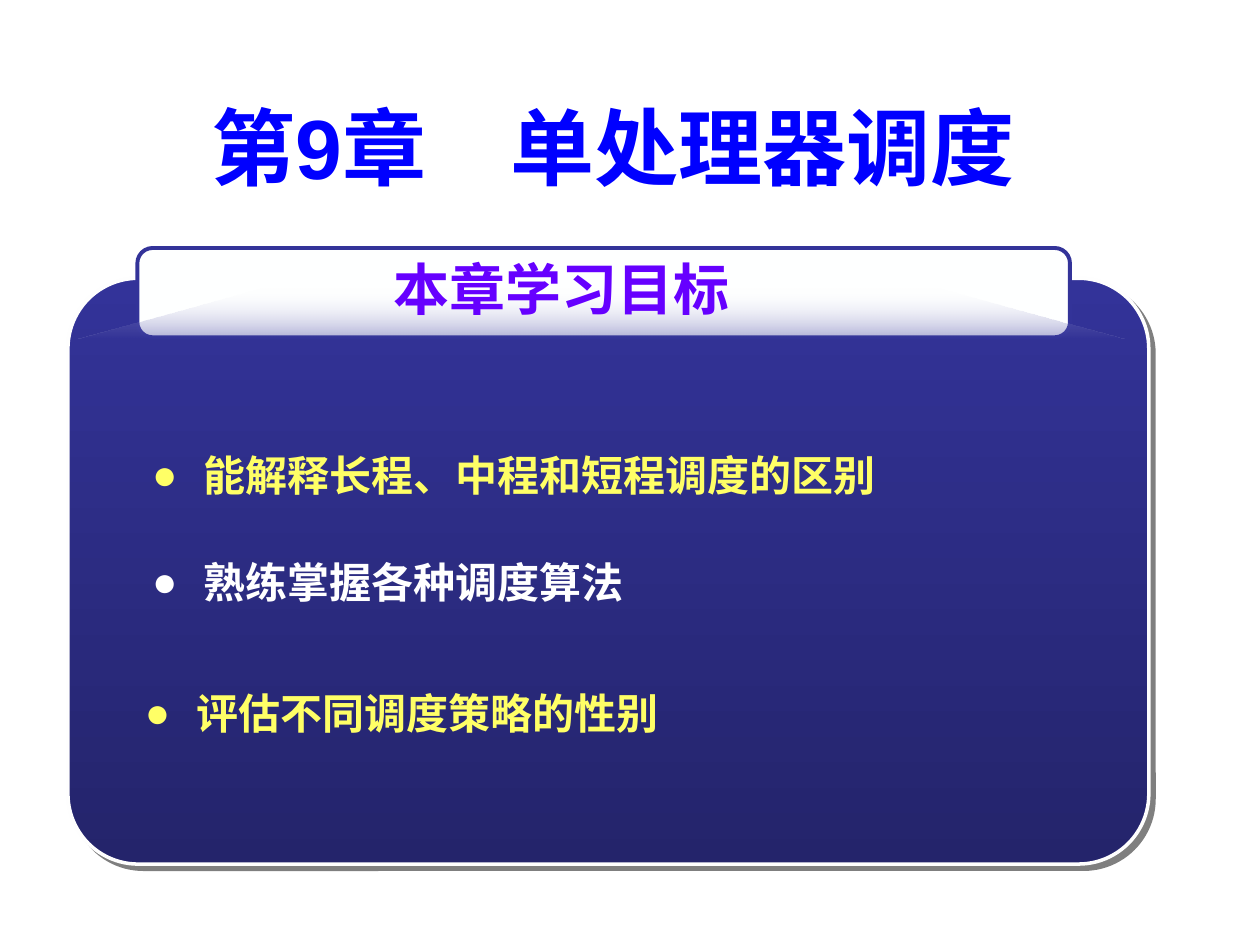
from dataclasses import dataclass

from lxml import etree
from pptx import Presentation
from pptx.dml.color import RGBColor
from pptx.enum.shapes import MSO_SHAPE
from pptx.enum.text import MSO_ANCHOR, MSO_AUTO_SIZE, PP_ALIGN
from pptx.oxml.ns import qn
from pptx.util import Cm, Pt

ROUNDED = MSO_SHAPE.ROUNDED_RECTANGLE
CENTER, LEFT = PP_ALIGN.CENTER, PP_ALIGN.LEFT
MIDDLE, TOP = MSO_ANCHOR.MIDDLE, MSO_ANCHOR.TOP
GROW, FIXED = MSO_AUTO_SIZE.SHAPE_TO_FIT_TEXT, MSO_AUTO_SIZE.NONE

BLUE = RGBColor(0x00, 0x00, 0xFF)
INDIGO = RGBColor(0x33, 0x33, 0x99)
DARK_INDIGO = RGBColor(0x24, 0x24, 0x6B)
VIOLET = RGBColor(0x66, 0x00, 0xFF)
YELLOW = RGBColor(0xFF, 0xFF, 0x66)
WHITE = RGBColor(0xFF, 0xFF, 0xFF)
OFF_WHITE = RGBColor(0xFE, 0xFE, 0xFE)
TAB_WHITE = RGBColor(0xFE, 0xFF, 0xFF)

FONT = "Arial"
BULLET_INDENT = Cm(1.04)


@dataclass
class Area:
    """A rectangle in centimetres."""
    left: float
    top: float
    width: float
    height: float

    def lengths(self) -> tuple:
        return Cm(self.left), Cm(self.top), Cm(self.width), Cm(self.height)


@dataclass
class Goal:
    text: str
    area: Area
    color: RGBColor


GOALS = [
    Goal("能解释长程、中程和短程调度的区别", Area(2.82, 8.84, 17.78, 1.37), YELLOW),
    Goal("熟练掌握各种调度算法", Area(2.82, 11, 17.78, 1.37), WHITE),
    Goal("评估不同调度策略的性别", Area(2.67, 13.64, 18.92, 1.37), YELLOW),
]


def add_text(page, text: str, area: Area, *, size: float, color: RGBColor,
             align=CENTER, anchor=MIDDLE, spacing: float = 1.0,
             bullet: str = "", auto_size=FIXED) -> None:
    box = page.shapes.add_textbox(*area.lengths())
    frame = box.text_frame
    frame.word_wrap = True
    frame.auto_size = auto_size
    frame.vertical_anchor = anchor
    para = frame.paragraphs[0]
    para.alignment = align
    para.line_spacing = spacing
    if bullet:
        properties = para._p.get_or_add_pPr()
        properties.set("marL", str(BULLET_INDENT))
        properties.set("indent", str(-BULLET_INDENT))
        etree.SubElement(properties, qn("a:buFont"), typeface=FONT)
        etree.SubElement(properties, qn("a:buChar"), char=bullet)
    span = para.add_run()
    span.text = text
    span.font.name = FONT
    span.font.size = Pt(size)
    span.font.bold = True
    span.font.color.rgb = color


def fill_downward(shape, colors: tuple, opacities: tuple = (100, 100)) -> None:
    """Fill with a two-colour gradient running from top to bottom."""
    shape.fill.gradient()
    shape.fill.gradient_angle = 270
    stops = shape.fill.gradient_stops
    for stop, color in zip(stops, colors):
        stop.color.rgb = color
    color_elements = shape._element.spPr.iter(qn("a:srgbClr"))
    for element, opacity in zip(list(color_elements), opacities):
        if opacity < 100:
            etree.SubElement(element, qn("a:alpha"), val=str(opacity * 1000))


def add_drop_shadow(shape) -> None:
    effects = shape._element.spPr.find(qn("a:effectLst"))
    shadow = etree.SubElement(effects, qn("a:outerShdw"), blurRad="0",
                              dist=str(Pt(4.2)), dir="2700000", algn="ctr",
                              rotWithShape="0")
    color = etree.SubElement(shadow, qn("a:srgbClr"), val="000000")
    etree.SubElement(color, qn("a:alpha"), val="50000")


def add_rounded(group, area: Area, *, corner: float, line: RGBColor,
                line_width: float):
    shape = group.shapes.add_shape(ROUNDED, *area.lengths())
    shape.adjustments[0] = corner
    shape.line.color.rgb = line
    shape.line.width = Pt(line_width)
    shape.shadow.inherit = False
    return shape


def add_panel(page) -> None:
    """Draw the dark panel, its white tab and the sheen across the tab."""
    group = page.shapes.add_group_shape()
    panel = add_rounded(group, Area(1.37, 5.61, 21.79, 11.81), corner=0.12,
                        line=OFF_WHITE, line_width=2)
    fill_downward(panel, (INDIGO, DARK_INDIGO))
    add_drop_shadow(panel)

    tab = add_rounded(group, Area(2.77, 5, 18.8, 1.8), corner=0.17,
                      line=INDIGO, line_width=2.25)
    tab.fill.solid()
    tab.fill.fore_color.rgb = TAB_WHITE

    builder = group.shapes.build_freeform(Cm(1.57), Cm(6.83))
    builder.add_line_segments([(Cm(5.28), Cm(5.82)), (Cm(18.95), Cm(5.82)),
                               (Cm(22.68), Cm(6.83))], close=True)
    sheen = builder.convert_to_shape()
    fill_downward(sheen, (WHITE, INDIGO), opacities=(0, 40))
    sheen.line.fill.background()
    sheen.shadow.inherit = False


def main() -> None:
    deck = Presentation()
    deck.slide_width, deck.slide_height = Cm(25.4), Cm(19.05)
    page = deck.slides.add_slide(deck.slide_layouts[6])

    add_text(page, "第9章　单处理器调度", Area(1.57, 0.33, 21.59, 6.1),
             size=48, color=BLUE, spacing=0.4)
    add_panel(page)
    for goal in GOALS:
        add_text(page, goal.text, goal.area, size=24, color=goal.color,
                 align=LEFT, anchor=TOP, spacing=1.1, bullet="●",
                 auto_size=GROW)
    add_text(page, "本章学习目标", Area(4.85, 4.57, 12.95, 2.49),
             size=32, color=VIOLET)
    deck.save("out.pptx")


if __name__ == "__main__":
    main()
